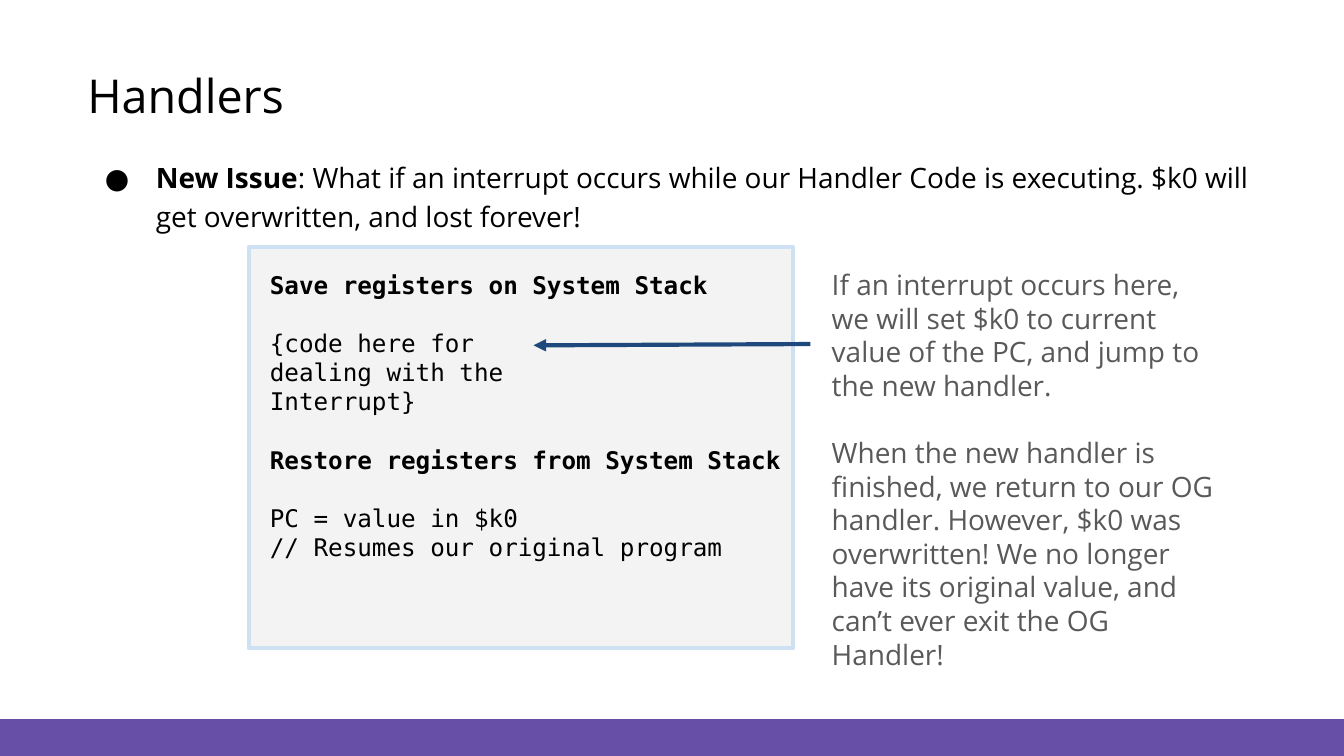
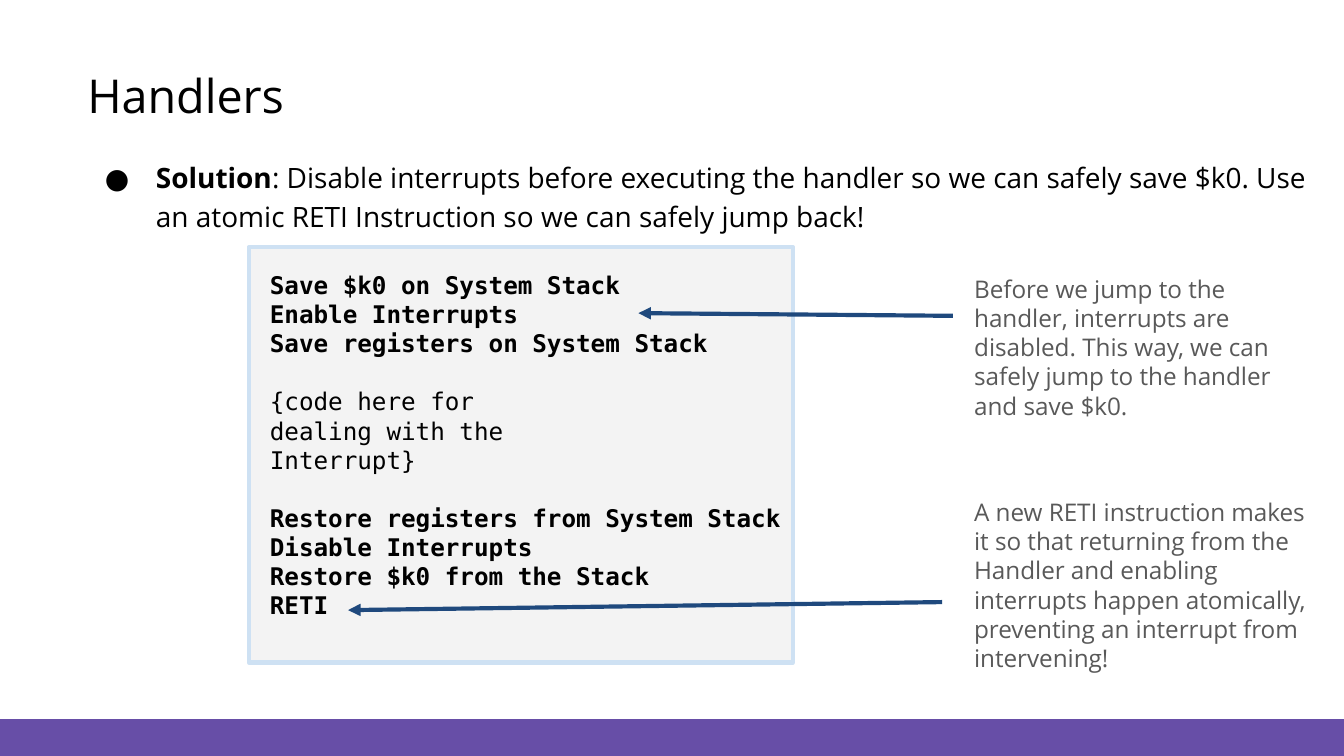
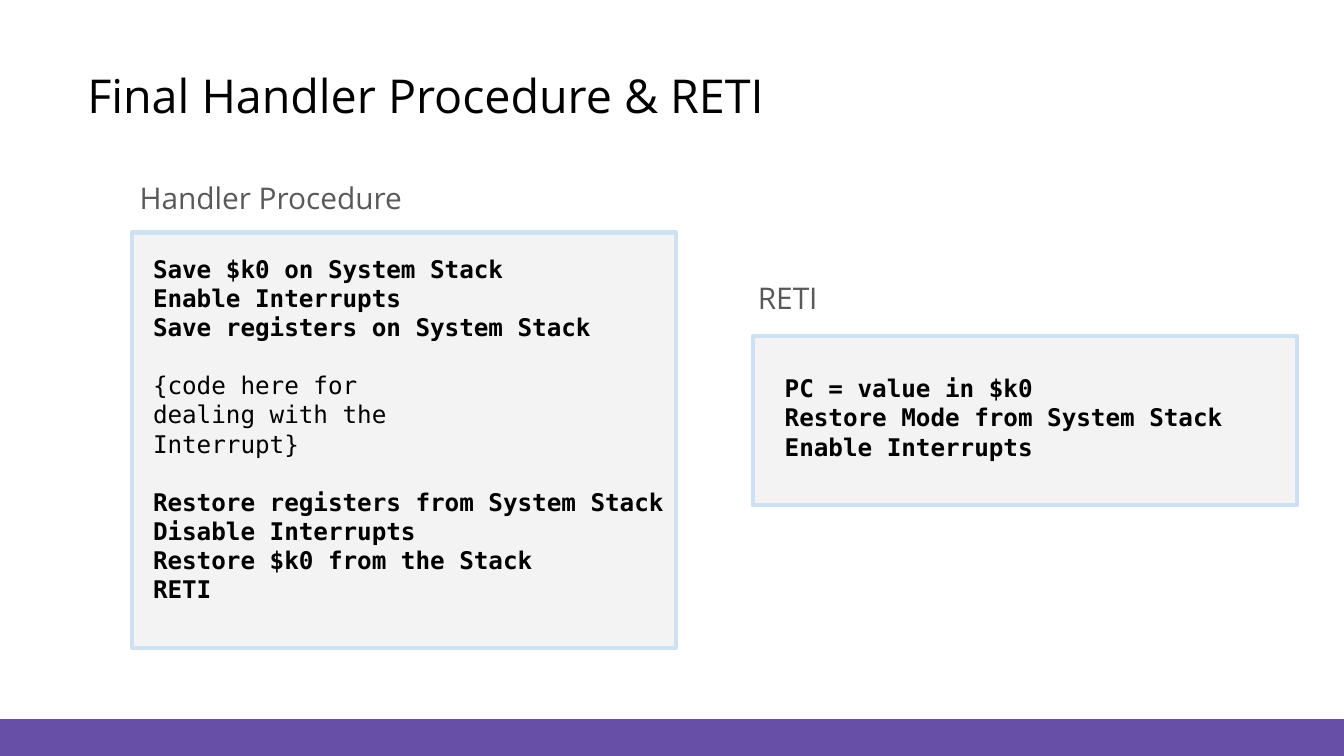
import pptx
import pptx.dml.color
import pptx.enum.shapes
import pptx.enum.text
import pptx.oxml
import pptx.oxml.ns
import pptx.util
from lxml import etree

Inches = pptx.util.Inches
Pt = pptx.util.Pt
RGBColor = pptx.dml.color.RGBColor
qn = pptx.oxml.ns.qn

PURPLE = RGBColor(0x67, 0x4E, 0xA7)
BLACK = RGBColor(0, 0, 0)
GRAY = RGBColor(0x59, 0x59, 0x59)
PANEL_FILL = RGBColor(0xF3, 0xF3, 0xF3)
PANEL_LINE = RGBColor(0xCE, 0xE1, 0xF3)
ARROW_BLUE = RGBColor(0x1F, 0x49, 0x7D)

BODY_FONT = "Open Sans"
CODE_FONT = "DejaVu Sans Mono"
SLIDE_WIDTH = 10
SLIDE_HEIGHT = SLIDE_WIDTH * 9 / 16
BAND_TOP = 5.35
PANEL_WIDTH = 4.05
LINE_HEIGHT = 1.2

# Code is a list of (bold, lines) groups, set apart by the height of one line.
INTERRUPT_CODE = (False, ["{code here for", "dealing with the", "Interrupt}"])
UNSAFE_HANDLER = [
    (True, ["Save registers on System Stack"]),
    INTERRUPT_CODE,
    (True, ["Restore registers from System Stack"]),
    (False, ["PC = value in $k0", "// Resumes our original program"]),
]
SAFE_HANDLER = [
    (True, ["Save $k0 on System Stack", "Enable Interrupts",
            "Save registers on System Stack"]),
    INTERRUPT_CODE,
    (True, ["Restore registers from System Stack", "Disable Interrupts",
            "Restore $k0 from the Stack", "RETI"]),
]
RETI_CODE = [
    (True, ["PC = value in $k0", "Restore Mode from System Stack",
            "Enable Interrupts"]),
]


def set_margins(frame, left, top, right, bottom):
    frame.margin_left, frame.margin_top = Inches(left), Inches(top)
    frame.margin_right, frame.margin_bottom = Inches(right), Inches(bottom)


def add_run(paragraph, text, *, size, font=BODY_FONT, color=BLACK, bold=False):
    run = paragraph.add_run()
    run.text = text
    run.font.name = font
    run.font.size = Pt(size)
    run.font.bold = bold
    run.font.color.rgb = color


def add_text(slide, box, groups, *, size, font=BODY_FONT, color=BLACK):
    """Add a text box holding (bold, lines) groups with a line's gap between."""
    frame = slide.shapes.add_textbox(*map(Inches, box)).text_frame
    frame.word_wrap = True
    set_margins(frame, 0.1, 0.1, 0.1, 0.1)
    paragraph = None
    for bold, lines in groups:
        for position, line in enumerate(lines):
            starts_group = paragraph is not None and position == 0
            paragraph = frame.add_paragraph() if paragraph else frame.paragraphs[0]
            if starts_group:
                paragraph.space_before = Pt(size * LINE_HEIGHT)
            add_run(paragraph, line, size=size, font=font, color=color, bold=bold)


def add_note(slide, box, *paragraphs, size):
    add_text(slide, box, [(False, [text]) for text in paragraphs],
             size=size, color=GRAY)


def add_bullet(slide, width, lead, text):
    """Add the bulleted statement under the title, with a bold lead word."""
    shape = slide.shapes.add_textbox(
        Inches(0.75), Inches(1.15), Inches(width), Inches(0.56))
    frame = shape.text_frame
    frame.word_wrap = True
    frame.auto_size = pptx.enum.text.MSO_AUTO_SIZE.SHAPE_TO_FIT_TEXT
    set_margins(frame, 0, 0.01, 0, 0)
    paragraph = frame.paragraphs[0]
    properties = paragraph._p.get_or_add_pPr()
    properties.set("marL", str(Inches(0.41)))
    properties.set("indent", str(Inches(-0.38)))
    bullet_color = etree.SubElement(properties, qn("a:buClr"))
    etree.SubElement(bullet_color, qn("a:srgbClr"), val=str(BLACK))
    etree.SubElement(properties, qn("a:buFont"), typeface=BODY_FONT)
    etree.SubElement(properties, qn("a:buChar"), char="●")
    paragraph.line_spacing = 1.15
    add_run(paragraph, lead, size=15, bold=True)
    add_run(paragraph, text, size=15)


def add_rectangle(slide, box, fill, line=None):
    rectangle = slide.shapes.add_shape(
        pptx.enum.shapes.MSO_SHAPE.RECTANGLE, *map(Inches, box))
    rectangle.shadow.inherit = False
    rectangle.fill.solid()
    rectangle.fill.fore_color.rgb = fill
    if line is None:
        rectangle.line.fill.background()
    else:
        rectangle.line.color.rgb = line
        rectangle.line.width = Pt(2.25)


def add_code_panel(slide, left, top, height, code, *,
                   inset_left=0.06, inset_top=0.07):
    add_rectangle(slide, (left, top, PANEL_WIDTH, height), PANEL_FILL, PANEL_LINE)
    text_box = (left + inset_left, top + inset_top,
                PANEL_WIDTH, height - 2 * inset_top)
    add_text(slide, text_box, code, size=13, font=CODE_FONT)


def add_arrow(slide, start, end):
    arrow = slide.shapes.add_connector(
        pptx.enum.shapes.MSO_CONNECTOR.STRAIGHT, *map(Inches, start + end))
    arrow.line.color.rgb = ARROW_BLUE
    arrow.line.width = Pt(2.25)
    etree.SubElement(arrow.line._get_or_add_ln(), qn("a:tailEnd"), type="triangle")
    etree.SubElement(arrow._element.spPr, qn("a:effectLst"))


def add_slide(presentation, title_text):
    """Add a slide with the shared title style and bottom band."""
    slide = presentation.slides.add_slide(presentation.slide_layouts[5])
    add_rectangle(
        slide, (0, BAND_TOP, SLIDE_WIDTH, SLIDE_HEIGHT - BAND_TOP), PURPLE)
    title = slide.shapes.title
    title.left, title.top = Inches(0.65), Inches(0.48)
    title.width, title.height = Inches(7.98), Inches(0.44)
    frame = title.text_frame
    frame.word_wrap = True
    frame.auto_size = pptx.enum.text.MSO_AUTO_SIZE.SHAPE_TO_FIT_TEXT
    frame.vertical_anchor = pptx.enum.text.MSO_ANCHOR.TOP
    set_margins(frame, 0, 0.02, 0, 0)
    paragraph = frame.paragraphs[0]
    paragraph.alignment = pptx.enum.text.PP_ALIGN.LEFT
    add_run(paragraph, title_text, size=25)
    return slide


def build_issue(presentation):
    slide = add_slide(presentation, "Handlers")
    add_bullet(
        slide, 8.66, "New Issue",
        ": What if an interrupt occurs while our Handler Code is executing. "
        "$k0 will get overwritten, and lost forever!")
    add_note(
        slide, (6.09, 1.89, 3.09, 1.85),
        "If an interrupt occurs here, we will set $k0 to current value of "
        "the PC, and jump to the new handler.",
        "When the new handler is finished, we return to our OG handler. "
        "However, $k0 was overwritten! We no longer have its original value, "
        "and can’t ever exit the OG Handler!",
        size=15)
    add_code_panel(slide, 1.85, 1.84, 2.98, UNSAFE_HANDLER)
    add_arrow(slide, (6.03, 2.56), (3.97, 2.57))


def build_solution(presentation):
    slide = add_slide(presentation, "Handlers")
    add_code_panel(slide, 1.85, 1.84, 3.09, SAFE_HANDLER)
    add_bullet(
        slide, 9.05, "Solution",
        ": Disable interrupts before executing the handler so we can safely "
        "save $k0. Use an atomic RETI Instruction so we can safely jump back!")
    add_arrow(slide, (7.09, 2.35), (4.75, 2.33))
    add_note(
        slide, (7.15, 1.94, 2.42, 0.51),
        "Before we jump to the handler, interrupts are disabled. This way, "
        "we can safely jump to the handler and save $k0.",
        size=13)
    add_arrow(slide, (7.01, 4.48), (2.59, 4.54))
    add_note(
        slide, (7.15, 3.6, 2.7, 0.51),
        "A new RETI instruction makes it so that returning from the Handler "
        "and enabling interrupts happen atomically, preventing an interrupt "
        "from intervening!",
        size=13)


def build_final_procedure(presentation):
    slide = add_slide(presentation, "Final Handler Procedure & RETI")
    add_code_panel(slide, 0.98, 1.73, 3.09, SAFE_HANDLER, inset_top=0.06)
    add_note(slide, (0.94, 1.24, 3.18, 0.38), "Handler Procedure", size=16)
    add_note(slide, (5.54, 1.98, 3.18, 0.38), "RETI", size=16)
    add_code_panel(slide, 5.6, 2.5, 1.26, RETI_CODE,
                   inset_left=0.14, inset_top=0.18)


def main():
    presentation = pptx.Presentation()
    presentation.slide_width = Inches(SLIDE_WIDTH)
    presentation.slide_height = Inches(SLIDE_HEIGHT)
    build_issue(presentation)
    build_solution(presentation)
    build_final_procedure(presentation)
    presentation.save("out.pptx")


if __name__ == "__main__":
    main()
